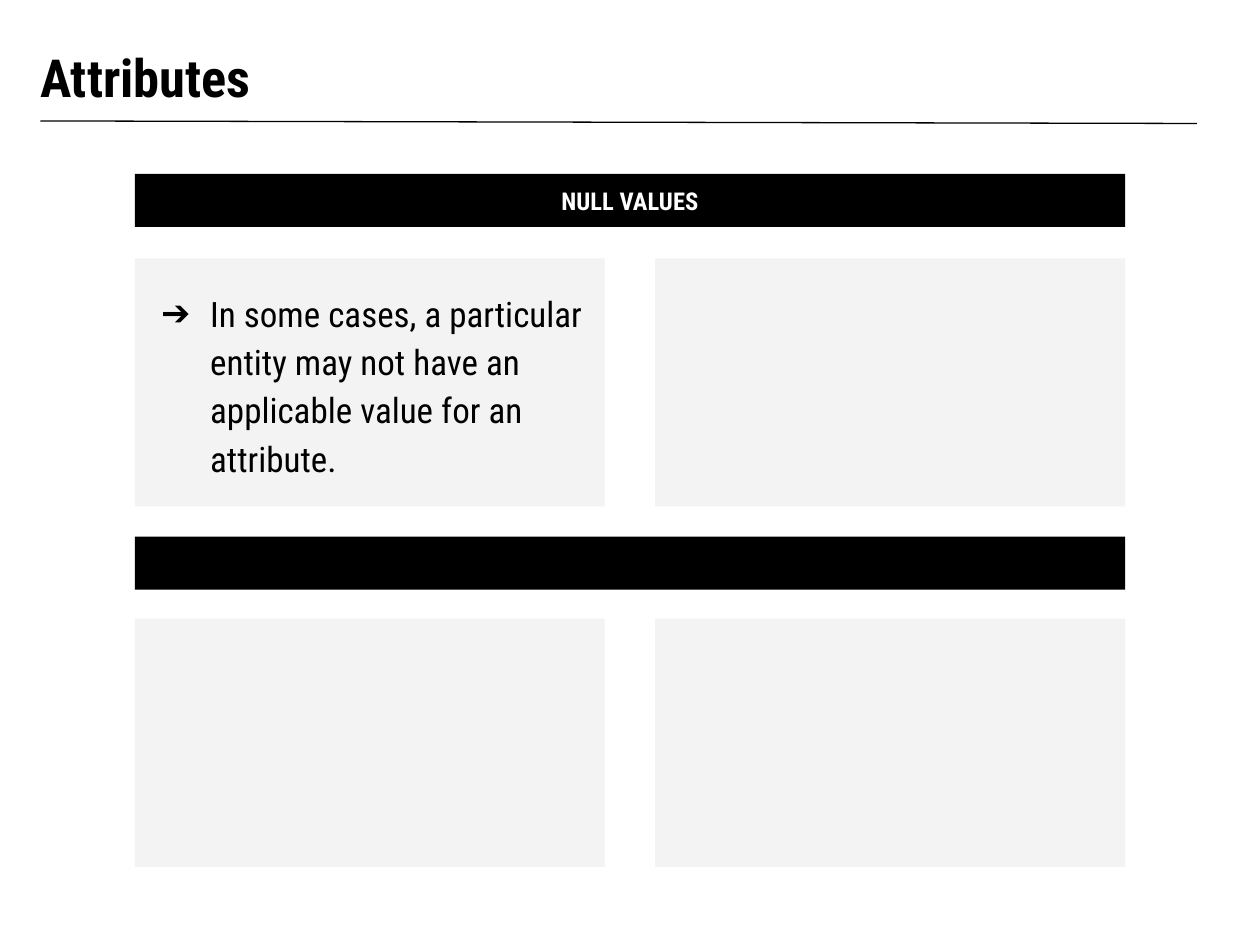
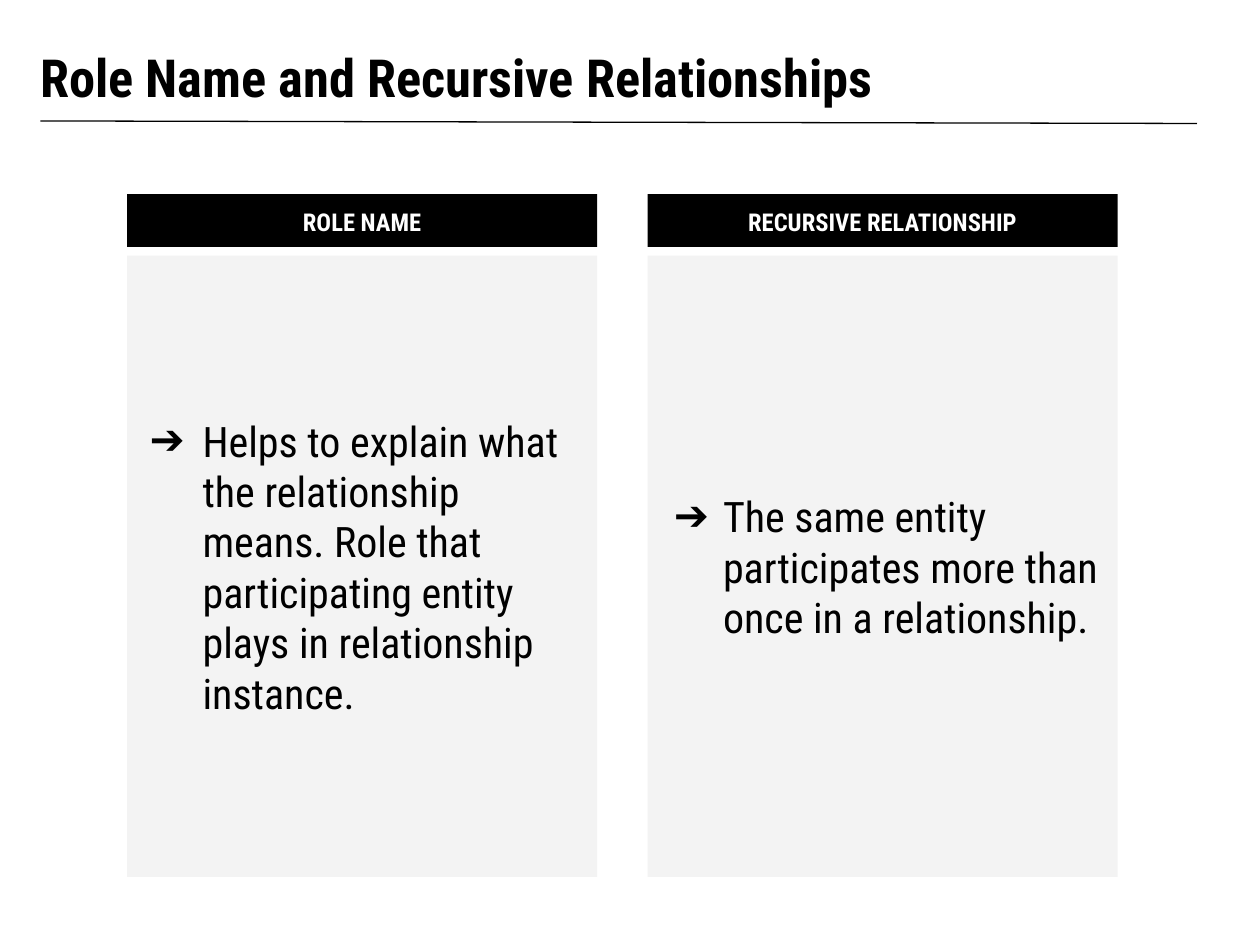
"""Build two slides on attributes and relationships of entities."""
import pptx
import pptx.dml.color
import pptx.enum.shapes
import pptx.enum.text
import pptx.oxml.ns
import pptx.util
from lxml import etree

HUES = {"ink": "000000", "panel": "F3F3F3", "paper": "FFFFFF"}
FONT = "Roboto Condensed"
COLS, ROWS = 100, 75
WIDE, TALL = 10, 7.5
LEFT, STEP = 10.7, 41.3
WIDTH, BAND = 37.3, 4.2
ALIGN = pptx.enum.text.PP_ALIGN
ANCHOR = pptx.enum.text.MSO_ANCHOR


class Deck:
    """Hold the style and the current slide, placing parts on a fine grid."""

    def __init__(self):
        """Open a deck of the right size."""
        self.show = pptx.Presentation()
        self.show.slide_width = pptx.util.Inches(WIDE)
        self.show.slide_height = pptx.util.Inches(TALL)
        self.slide = None

    def place(self, col, row):
        """Turn columns and rows into lengths."""
        return (pptx.util.Inches(col * WIDE / COLS),
                pptx.util.Inches(row * TALL / ROWS))

    def hue(self, name):
        """Look up a colour by name."""
        return pptx.dml.color.RGBColor.from_string(HUES[name])

    def page(self, title):
        """Start a slide with its rule and title."""
        self.slide = self.show.slides.add_slide(self.show.slide_layouts[6])
        self.rule((3.2, 9.6), (95, 9.8))
        box = self.slide.shapes.add_textbox(*self.place(2.2, 2.2), *self.place(90, 7.4))
        self.label(box, title, 30, bold=True, anchor=ANCHOR.BOTTOM)

    def rule(self, start, end):
        """Draw a thin line."""
        line = self.slide.shapes.add_connector(
            pptx.enum.shapes.MSO_CONNECTOR.STRAIGHT, *self.place(*start), *self.place(*end))
        line.line.color.rgb = self.hue("ink")
        line.line.width = pptx.util.Pt(0.75)
        etree.SubElement(line._element.spPr, pptx.oxml.ns.qn("a:effectLst"))

    def block(self, col, row, width, height, fill):
        """Draw a plain filled rectangle."""
        shape = self.slide.shapes.add_shape(
            pptx.enum.shapes.MSO_SHAPE.RECTANGLE,
            *self.place(col, row), *self.place(width, height))
        shape.shadow.inherit = False
        shape.fill.solid()
        shape.fill.fore_color.rgb = self.hue(fill)
        shape.line.fill.background()
        return shape

    def band(self, col, row, width, text=""):
        """Draw a dark band with an optional heading."""
        shape = self.block(col, row, width, BAND, "ink")
        if text:
            self.label(shape, text, 14, "paper", True, ANCHOR.TOP, ALIGN.CENTER)

    def panel(self, col, row, height, text="", size=20, hang=0.39, space=None):
        """Draw a pale panel with an optional arrow point."""
        shape = self.block(col, row, WIDTH, height, "panel")
        if text:
            para = shape.text_frame.paragraphs[0]
            self.bullet(para, hang)
            para.line_spacing = space
            self.label(shape, text, size)

    def bullet(self, para, hang):
        """Give a paragraph an arrow bullet with a hanging indent."""
        props = para._p.get_or_add_pPr()
        props.set("marL", str(pptx.util.Inches(0.5)))
        props.set("indent", str(-pptx.util.Inches(hang)))
        tint = etree.SubElement(props, pptx.oxml.ns.qn("a:buClr"))
        etree.SubElement(tint, pptx.oxml.ns.qn("a:srgbClr"), val=HUES["ink"])
        etree.SubElement(props, pptx.oxml.ns.qn("a:buFont"), typeface=FONT)
        etree.SubElement(props, pptx.oxml.ns.qn("a:buChar"), char="➔")

    def label(self, shape, text, size, hue="ink", bold=False,
              anchor=ANCHOR.MIDDLE, align=ALIGN.LEFT):
        """Put one styled run in a shape."""
        frame = shape.text_frame
        frame.word_wrap = True
        frame.vertical_anchor = anchor
        inset = pptx.util.Inches(0.1)
        frame.margin_left = frame.margin_right = inset
        frame.margin_top = frame.margin_bottom = inset
        para = frame.paragraphs[0]
        para.alignment = align
        run = para.add_run()
        run.text = text
        run.font.name = FONT
        run.font.size = pptx.util.Pt(size)
        run.font.bold = bold
        run.font.color.rgb = self.hue(hue)


def main():
    """Build and save both slides."""
    deck = Deck()

    deck.page("Attributes")
    null = "In some cases, a particular entity may not have an applicable value for an attribute."
    for top, row, head, note in ((13.8, 20.5, "NULL VALUES", null), (42.6, 49.1, "", "")):
        deck.band(LEFT, top, STEP + WIDTH, head)
        deck.panel(LEFT, row, 19.7, note, space=1.15)
        deck.panel(LEFT + STEP, row, 19.7)

    deck.page("Role Name and Recursive Relationships")
    terms = (
        ("ROLE NAME", "Helps to explain what the relationship means. Role that "
         "participating entity plays in relationship instance.", 0.42),
        ("RECURSIVE RELATIONSHIP",
         "The same entity participates more than once in a relationship.", 0.39),
    )
    for spot, (head, note, hang) in enumerate(terms):
        col = LEFT - 0.6 + spot * STEP
        deck.panel(col, 20.3, 49.3, note, 24, hang)
        deck.band(col, 15.4, WIDTH, head)

    deck.show.save("out.pptx")


if __name__ == "__main__":
    main()
